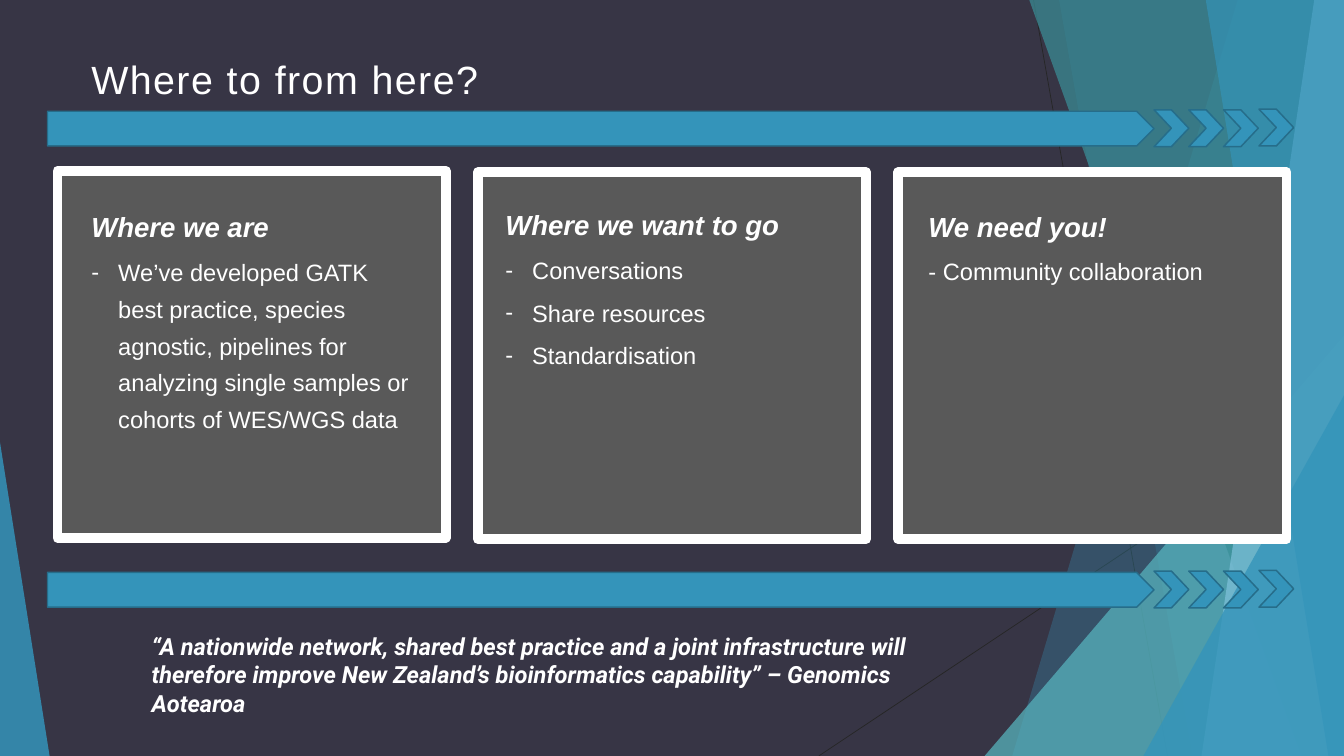
from lxml import etree
from pptx import Presentation
from pptx.dml.color import RGBColor
from pptx.enum.shapes import MSO_CONNECTOR, MSO_SHAPE
from pptx.oxml.ns import qn
from pptx.util import Pt

PX = 9144
W, H = 1896, 1067
RECT = MSO_SHAPE.RECTANGLE
TRIANGLE = MSO_SHAPE.ISOSCELES_TRIANGLE
PLATE = MSO_SHAPE.PENTAGON
CHEVRON = MSO_SHAPE.CHEVRON
STRAIGHT = MSO_CONNECTOR.STRAIGHT

NIGHT = RGBColor(0x37, 0x35, 0x45)
INK = RGBColor(0x26, 0x26, 0x26)
BLUE = RGBColor(0x34, 0x94, 0xBA)
DEEP_BLUE = RGBColor(0x26, 0x6D, 0x8A)
PALE_BLUE = RGBColor(0x7F, 0xC1, 0xDB)
TEAL = RGBColor(0x58, 0xB6, 0xC0)
DEEP_TEAL = RGBColor(0x3A, 0x8F, 0x98)
GREY = RGBColor(0x59, 0x59, 0x59)
WHITE = RGBColor(0xFF, 0xFF, 0xFF)

prs = Presentation()
prs.slide_width, prs.slide_height = W * PX, H * PX
s = prs.slides.add_slide(prs.slide_layouts[6])
s.background.fill.solid()
s.background.fill.fore_color.rgb = NIGHT


def add_box(kind, x, y, w, h, fill, line=None, width=0):
    sp = s.shapes.add_shape(kind, x * PX, y * PX, w * PX, h * PX)
    sp.shadow.inherit = False
    sp.fill.solid()
    sp.fill.fore_color.rgb = fill
    if line is None:
        sp.line.fill.background()
    else:
        sp.line.color.rgb = line
        sp.line.width = Pt(width)
    return sp


def add_text(x, y, w, h, paragraphs):
    tf = s.shapes.add_textbox(x * PX, y * PX, w * PX, h * PX).text_frame
    tf.word_wrap = True
    for i, (text, size, font, strong, bullet, spacing) in enumerate(paragraphs):
        p = tf.paragraphs[0] if i == 0 else tf.add_paragraph()
        if bullet:
            pPr = p._p.get_or_add_pPr()
            pPr.set("marL", str(38 * PX))
            pPr.set("indent", str(-38 * PX))
            etree.SubElement(pPr, qn("a:buFont"), typeface="Arial")
            etree.SubElement(pPr, qn("a:buChar"), char="-")
        if spacing:
            p.line_spacing = spacing
        if i:
            p.space_before = Pt(6)
        r = p.add_run()
        r.text = text
        r.font.size = Pt(size)
        r.font.name = font
        r.font.bold = r.font.italic = strong
        r.font.color.rgb = WHITE
    return tf


for x1, y1, x2, y2 in [(1458, 0, 1647, H), (W, 573, 1155, H)]:
    ray = s.shapes.add_connector(STRAIGHT, x1 * PX, y1 * PX, x2 * PX, y2 * PX)
    ray.line.color.rgb = INK
    ray.line.width = Pt(0.75)
    etree.SubElement(ray._element.spPr, qn("a:effectLst"))

facets = [
    ((1746, 1428), BLUE, 30),
    ((1494, 1682), BLUE, 20),
    ((1389, 474, 507, 593, 1), TEAL, 72),
    ((1452, 1836), DEEP_TEAL, 70),
    ((1854, 1695), PALE_BLUE, 70),
    ((1701, 1874), BLUE, 65),
    ((1613, 558, 283, 509, 1), BLUE, 80),
    ((0, 624, 70, 443, 0), BLUE, 85),
]
for outline, color, opacity in facets:
    if len(outline) == 2:
        top, bottom = outline
        builder = s.shapes.build_freeform(top, 0, scale=PX)
        builder.add_line_segments([(W, 0), (W, H), (bottom, H)], close=True)
        sp = builder.convert_to_shape()
        sp.shadow.inherit = False
        sp.fill.solid()
        sp.fill.fore_color.rgb = color
        sp.line.fill.background()
    else:
        sp = add_box(TRIANGLE, *outline[:4], color)
        sp.adjustments[0] = outline[4]
    srgb = sp._element.spPr.find(qn("a:solidFill")).find(qn("a:srgbClr"))
    etree.SubElement(srgb, qn("a:alpha"), val=str(opacity * 1000))

for x, y in [(1267, 243), (674, 243), (81, 241)]:
    add_box(RECT, x, y, 548, 518, GREY, WHITE, 9.75)

title = add_text(119, 67, 1324, 184,
                 [("Where to from here?", 40, "Arial", False, False, Pt(52))])
title.paragraphs[0].runs[0]._r.get_or_add_rPr().set("spc", "150")

columns = [
    (119, 278, 473, 337, "Where we are", True,
     ["We’ve developed GATK best practice, species agnostic, pipelines for "
      "analyzing single samples or cohorts of WES/WGS data"]),
    (703, 275, 466, 249, "Where we want to go", True,
     ["Conversations", "Share resources", "Standardisation"]),
    (1300, 277, 493, 196, "We need you!", False,
     ["- Community collaboration"]),
]
for x, y, w, h, heading, bullet, items in columns:
    add_text(x, y, w, h,
             [(heading, 28, "Arial", True, False, 1.3)]
             + [(item, 24, "Arial", False, bullet, 1.3) for item in items])

for y in (808, 157):
    add_box(PLATE, 67, y, 1561, 49, BLUE, DEEP_BLUE, 1.5)
    for i in range(4):
        rise = 3 if i == 3 else 2
        add_box(CHEVRON, 1628 + i * 148 // 3, y - rise, 49, 52, BLUE, DEEP_BLUE, 1.5)

add_text(204, 887, 1119, 131, [
    ("“A nationwide network, shared best practice and a joint infrastructure will "
     "therefore improve New Zealand’s bioinformatics capability” – Genomics Aotearoa",
     24, "Roboto", True, False, None)])

prs.save("out.pptx")
